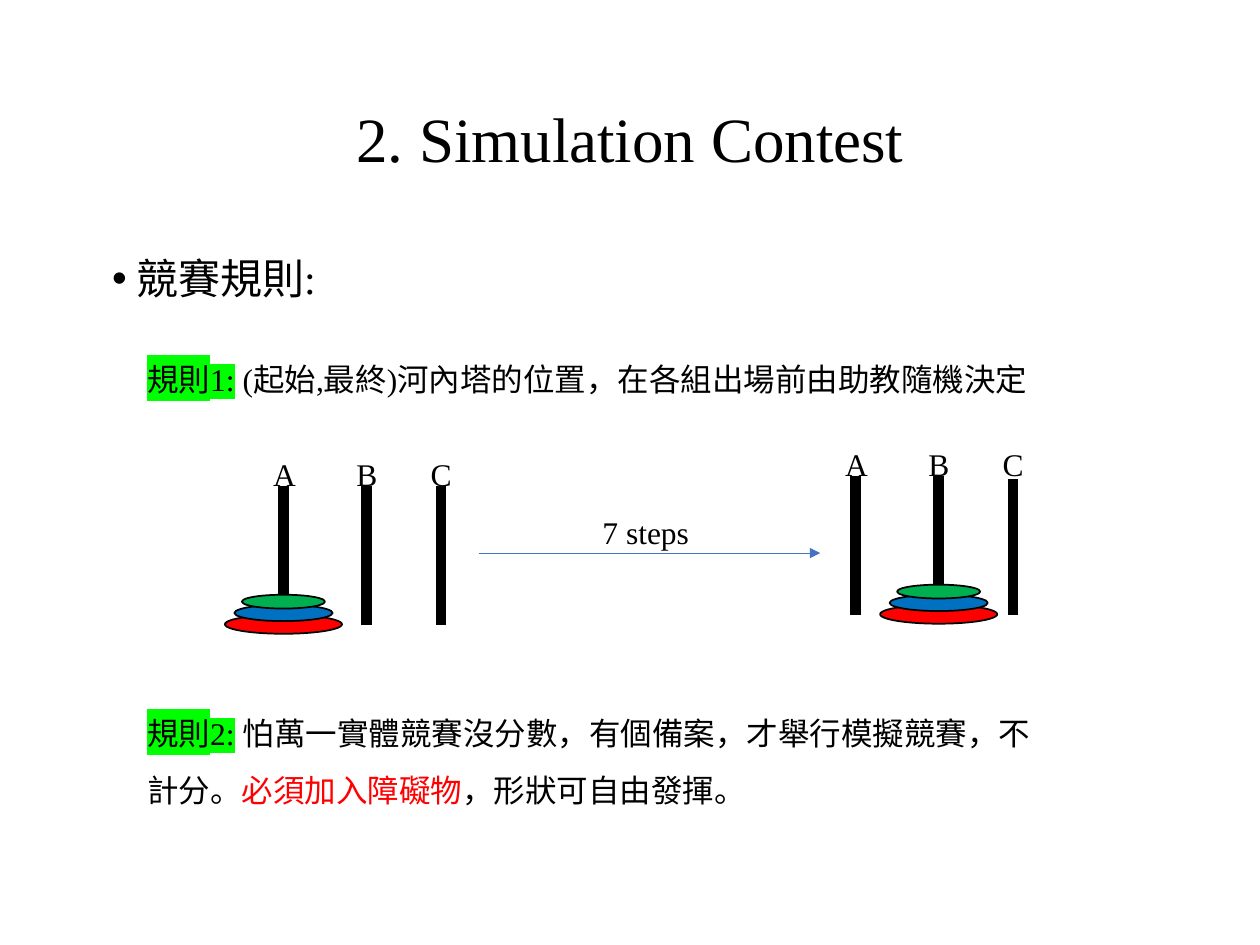
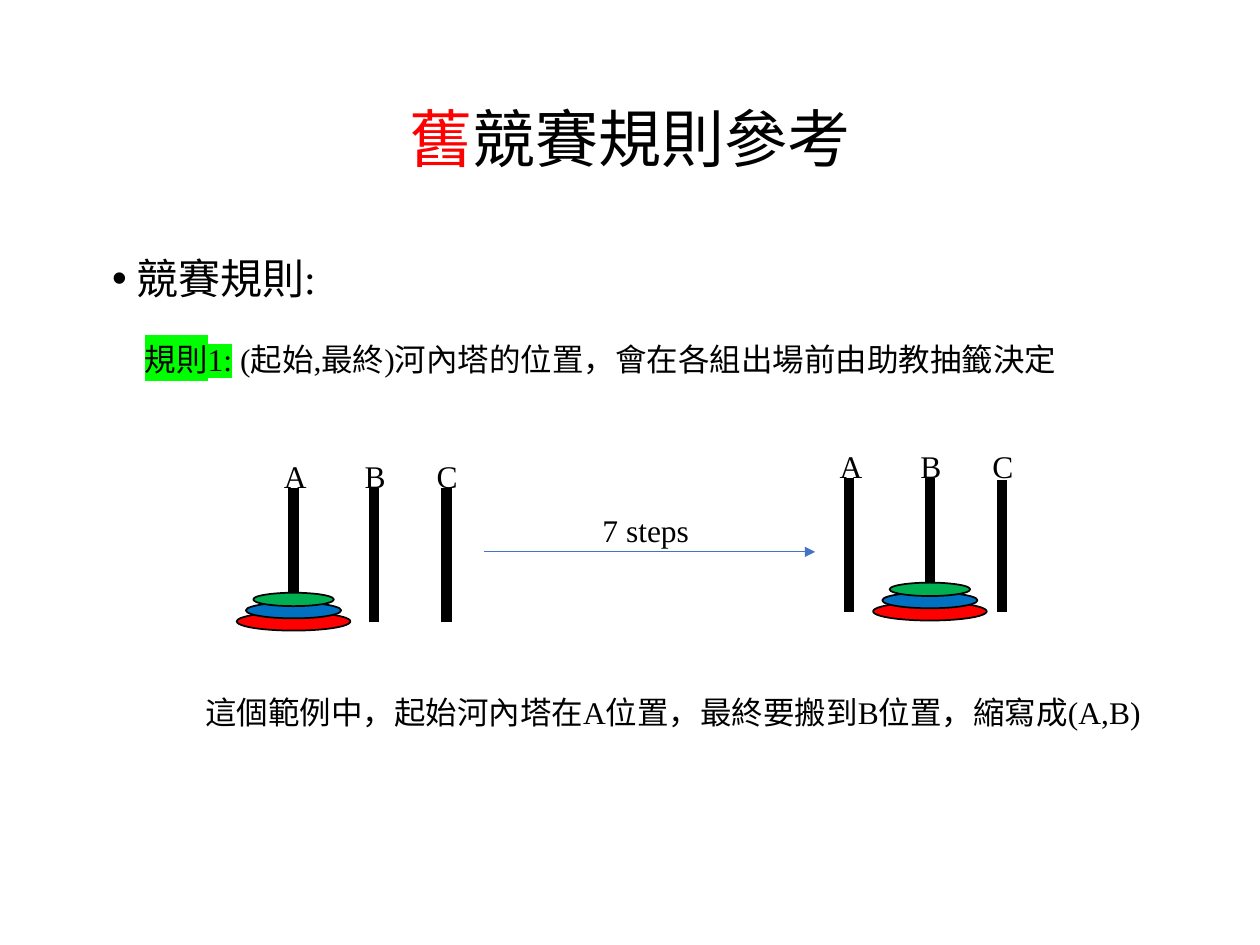
"""Build two slides on the rules of a Tower of Hanoi simulation contest."""
from lxml import etree
from pptx import Presentation, util as u
from pptx.dml.color import RGBColor
from pptx.enum import shapes, text
from pptx.oxml.ns import qn

BLACK = RGBColor(0, 0, 0)
RED = RGBColor(0xFF, 0, 0)
BLUE = RGBColor(0, 0x70, 0xC0)
GREEN = RGBColor(0, 0xB0, 0x50)
ARROW_BLUE = RGBColor(0x44, 0x72, 0xC4)
MARK = "00FF00"
FONT = "Times New Roman"

HEADING = "競賽規則:"
PEGS = [("A", 0), ("B", 0.66), ("C", 1.25)]
DISKS = [(RED, 0.93, 0.15, 1.02), (BLUE, 0.78, 0.13, 0.94), (GREEN, 0.66, 0.11, 0.86)]
PEG_LENGTH, LOADED_LENGTH = 1.1, 0.94
LABEL_WIDTH, LABEL_HEIGHT, LABEL_RISE = 0.36, 0.37, 0.3

SLIDES = [
    {
        "title": [("2. Simulation Contest", BLACK)],
        "rules": [
            ((1.07, 2.81, 7.45, 0.4), 1,
             [("規則1:", MARK), (" (起始,最終)河內塔的位置，在各組出場前由助教隨機決定", BLACK)]),
            ((1.07, 5.47, 7.45, 0.96), 1.5,
             [("規則2:", MARK), (" 怕萬一實體競賽沒分數，有個備案，才舉行模擬競賽，不計分。", BLACK),
              ("必須加入障礙物", RED), ("，形狀可自由發揮。", BLACK)]),
        ],
        "scale": 1,
        "towers": [(2.25, 3.86, "A", 0), (6.79, 3.78, "B", 0.02)],
        "arrow": (3.8, 6.51, 4.39),
    },
    {
        "title": [("舊", RED), ("競賽規則參考", BLACK)],
        "rules": [
            ((1.05, 2.65, 7.53, 0.4), 1,
             [("規則1:", MARK), (" (起始,最終)河內塔的位置，會在各組出場前由助教抽籤決定", BLACK)]),
            ((1.53, 5.45, 7.68, 0.4), 1,
             [("這個範例中，起始河內塔在A位置，最終要搬到B位置，縮寫成(A,B)", BLACK)]),
        ],
        "scale": 0.97,
        "towers": [(2.33, 3.87, "A", 0), (6.74, 3.79, "B", 0.02)],
        "arrow": (3.84, 6.47, 4.38),
    },
]


def inches(*values):
    return [u.Inches(v) for v in values]


def write(p, runs, size, spacing=1.0, align=None):
    p.line_spacing, p.space_before = spacing, u.Pt(0)
    if align is not None:
        p.alignment = align
    p.font.size, p.font.name = u.Pt(size), FONT
    p.font.color.rgb = BLACK
    for words, style in runs:
        r = p.add_run()
        r.text = words
        if style == MARK:
            mark = etree.SubElement(r._r.get_or_add_rPr(), qn("a:highlight"))
            etree.SubElement(mark, qn("a:srgbClr"), val=MARK)
        elif style != BLACK:
            r.font.color.rgb = style


def fill_placeholder(sp, box, runs, size, align=None):
    sp.left, sp.top, sp.width, sp.height = inches(*box)
    tf = sp.text_frame
    tf.auto_size = text.MSO_AUTO_SIZE.NONE
    write(tf.paragraphs[0], runs, size, 0.9, align)
    return tf.paragraphs[0]


def add_text(parent, box, runs, spacing=1.0, wrap=True, align=None):
    tf = parent.add_textbox(*inches(*box)).text_frame
    tf.word_wrap = wrap
    write(tf.paragraphs[0], runs, 18, spacing, align)


def add_line(parent, x1, y1, x2, y2, color, width):
    line = parent.add_connector(shapes.MSO_CONNECTOR.STRAIGHT, *inches(x1, y1, x2, y2))
    line.line.color.rgb, line.line.width = color, u.Pt(width)
    etree.SubElement(line._element.spPr, qn("a:effectLst"))
    return line


def add_tower(parent, x, top, loaded, c_drop, scale):
    for name, offset in PEGS:
        peg_x = x + offset * scale
        start = top + (c_drop if name == "C" else 0)
        length = LOADED_LENGTH if name == loaded else PEG_LENGTH
        add_line(parent, peg_x, start, peg_x, top + length * scale, BLACK, 6)
        width = LABEL_WIDTH * scale
        add_text(parent, (peg_x - width / 2, top - LABEL_RISE * scale, width, LABEL_HEIGHT * scale),
                 [(name, BLACK)], wrap=False, align=text.PP_ALIGN.CENTER)
    center = x + dict(PEGS)[loaded] * scale
    for color, width, height, drop in DISKS:
        width, height = width * scale, height * scale
        disk = parent.add_shape(shapes.MSO_SHAPE.OVAL,
                                *inches(center - width / 2, top + drop * scale, width, height))
        disk.shadow.inherit = False
        disk.fill.solid()
        disk.fill.fore_color.rgb = color
        disk.line.color.rgb, disk.line.width = BLACK, u.Pt(1)


def add_arrow(parent, start, end, y):
    arrow = add_line(parent, start, y, end, y, ARROW_BLUE, 0.5)
    etree.SubElement(arrow.line._get_or_add_ln(), qn("a:tailEnd"), type="triangle")
    add_text(parent, ((start + end) / 2 - 0.49, y - 0.37, 0.92, 0.4), [("7 steps", BLACK)],
             wrap=False, align=text.PP_ALIGN.CENTER)


def build_slide(prs, content):
    s = prs.slides.add_slide(prs.slide_layouts[1])
    fill_placeholder(s.shapes.title, (0.69, 0.4, 8.62, 1.45), content["title"], 36,
                     text.PP_ALIGN.CENTER)
    p = fill_placeholder(s.placeholders[1], (0.79, 2, 8.52, 4.76), [(HEADING, BLACK)], 24)
    pPr = p._p.get_or_add_pPr()
    pPr.set("marL", str(u.Inches(0.19)))
    pPr.set("indent", str(u.Inches(-0.19)))
    group = s.shapes.add_group_shape().shapes
    for tower in content["towers"]:
        add_tower(group, *tower, content["scale"])
    add_arrow(group, *content["arrow"])
    for box, spacing, runs in content["rules"]:
        add_text(s.shapes, box, runs, spacing)


def main():
    prs = Presentation()
    prs.slide_width, prs.slide_height = inches(10, 7.5)
    for content in SLIDES:
        build_slide(prs, content)
    prs.save("out.pptx")


if __name__ == "__main__":
    main()
